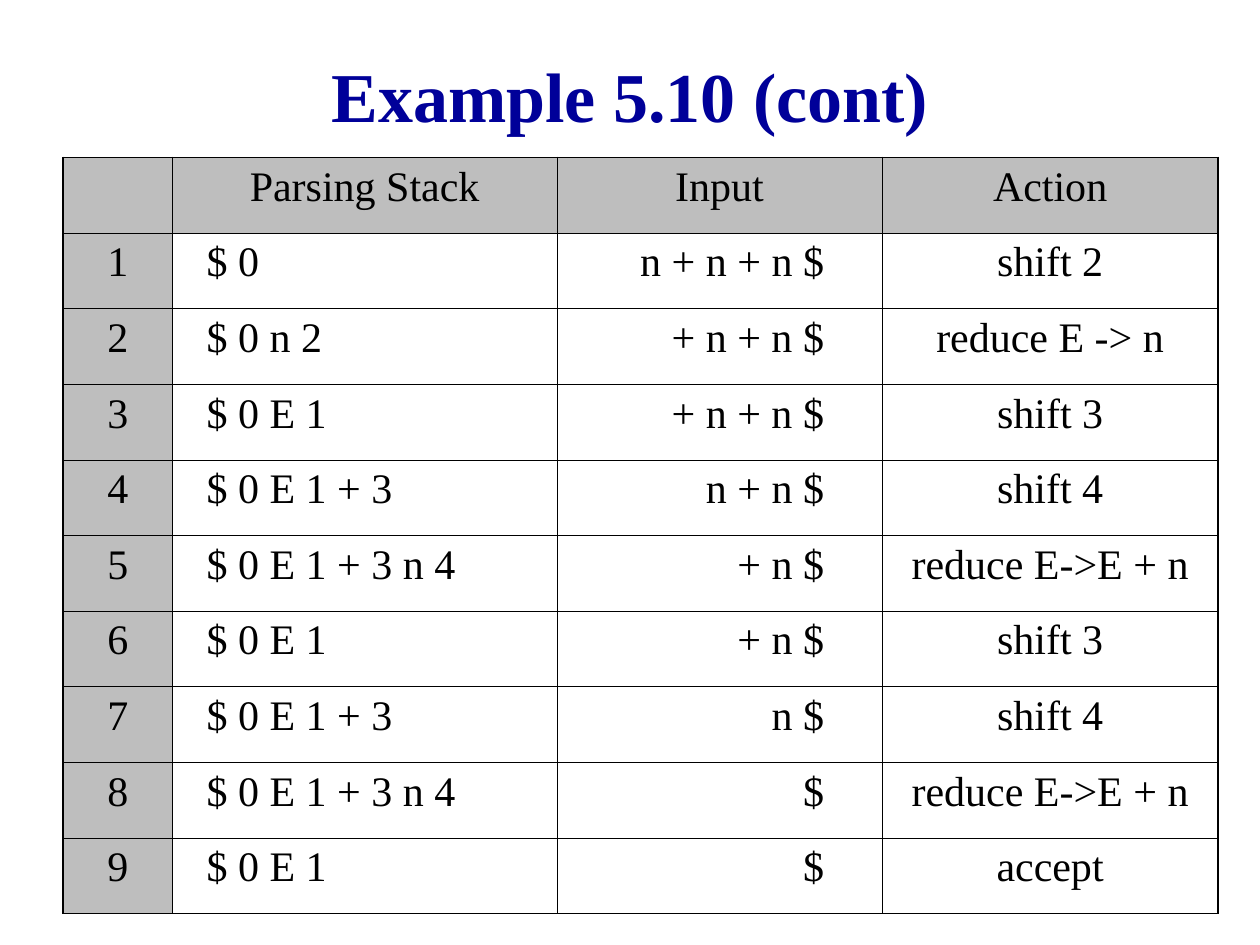
from dataclasses import dataclass

from lxml.etree import SubElement
from pptx import Presentation
from pptx.dml.color import RGBColor
from pptx.enum.text import MSO_ANCHOR, PP_ALIGN
from pptx.oxml.ns import qn
from pptx.util import Inches, Pt

# Content
TITLE = "Example 5.10 (cont)"
HEADINGS = ("", "Parsing Stack", "Input", "Action")
STEPS = [
    ("$ 0", "n + n + n $", "shift 2"),
    ("$ 0 n 2", "+ n + n $", "reduce E -> n"),
    ("$ 0 E 1", "+ n + n $", "shift 3"),
    ("$ 0 E 1 + 3", "n + n $", "shift 4"),
    ("$ 0 E 1 + 3 n 4", "+ n $", "reduce E->E + n"),
    ("$ 0 E 1", "+ n $", "shift 3"),
    ("$ 0 E 1 + 3", "n $", "shift 4"),
    ("$ 0 E 1 + 3 n 4", "$", "reduce E->E + n"),
    ("$ 0 E 1", "$", "accept"),
]
ROWS = [HEADINGS] + [(str(number), *step) for number, step in enumerate(STEPS, 1)]

# Layout in inches: width, alignment, left margin, right margin of each column
COLUMNS = [
    (0.87, PP_ALIGN.CENTER, 0.1, 0.1),
    (3.05, PP_ALIGN.LEFT, 0.27, 0.1),
    (2.58, PP_ALIGN.RIGHT, 0.1, 0.46),
    (2.67, PP_ALIGN.CENTER, 0.1, 0.1),
]
ROW_HEIGHT = 0.6


@dataclass(frozen=True)
class Theme:
    font: str = "Times New Roman"
    title_size: int = 40
    cell_size: int = 24
    title_color: str = "000099"
    ink: str = "000000"
    header_fill: str = "BEBEBE"
    body_fill: str = "FFFFFF"
    outer_line: float = 1.08
    inner_line: float = 0.45


THEME = Theme()


def write_text(frame, text, *, size, color, align, bold=False, before=0):
    para = frame.paragraphs[0]
    para.alignment = align
    para.space_before = Pt(before)
    span = para.add_run()
    span.text = text
    span.font.name = THEME.font
    span.font.size = Pt(size)
    span.font.bold = bold
    span.font.color.rgb = RGBColor.from_string(color)


def draw_borders(cell, outer_sides):
    properties = cell._tc.get_or_add_tcPr()
    for side in "LRTB":
        width = THEME.outer_line if side in outer_sides else THEME.inner_line
        line = SubElement(properties, qn(f"a:ln{side}"), w=str(int(Pt(width))))
        fill = SubElement(line, qn("a:solidFill"))
        SubElement(fill, qn("a:srgbClr"), val=THEME.ink)


def add_title(page):
    box = page.shapes.add_textbox(Inches(0.75), Inches(0.25), Inches(8.5), Inches(1))
    box.text_frame.word_wrap = True
    box.text_frame.vertical_anchor = MSO_ANCHOR.MIDDLE
    write_text(box.text_frame, TITLE, size=THEME.title_size,
               color=THEME.title_color, align=PP_ALIGN.CENTER, bold=True)


def add_parse_table(page):
    total_width = sum(column[0] for column in COLUMNS)
    table = page.shapes.add_table(
        len(ROWS), len(COLUMNS), Inches(0.5), Inches(1.25),
        Inches(total_width), Inches(ROW_HEIGHT * len(ROWS))).table
    table.first_row = table.horz_banding = False
    for column, (width, *_) in zip(table.columns, COLUMNS):
        column.width = Inches(width)

    last_row, last_column = len(ROWS) - 1, len(COLUMNS) - 1
    for r, texts in enumerate(ROWS):
        table.rows[r].height = Inches(ROW_HEIGHT)
        for c, (text, column) in enumerate(zip(texts, COLUMNS)):
            _, align, left, right = column
            is_header = r == 0 or c == 0
            cell = table.cell(r, c)
            edges = {"L": c == 0, "R": c == last_column, "T": r == 0, "B": r == last_row}
            draw_borders(cell, [side for side, outer in edges.items() if outer])
            cell.fill.solid()
            cell.fill.fore_color.rgb = RGBColor.from_string(
                THEME.header_fill if is_header else THEME.body_fill)
            cell.margin_left = Inches(0.1 if is_header else left)
            cell.margin_right = Inches(0.1 if is_header else right)
            if text:
                write_text(cell.text_frame, text, size=THEME.cell_size, color=THEME.ink,
                           align=PP_ALIGN.CENTER if is_header else align, before=6)


def main():
    deck = Presentation()
    deck.slide_width, deck.slide_height = Inches(10), Inches(7.5)
    page = deck.slides.add_slide(deck.slide_layouts[6])
    add_title(page)
    add_parse_table(page)
    deck.save("out.pptx")


if __name__ == "__main__":
    main()
